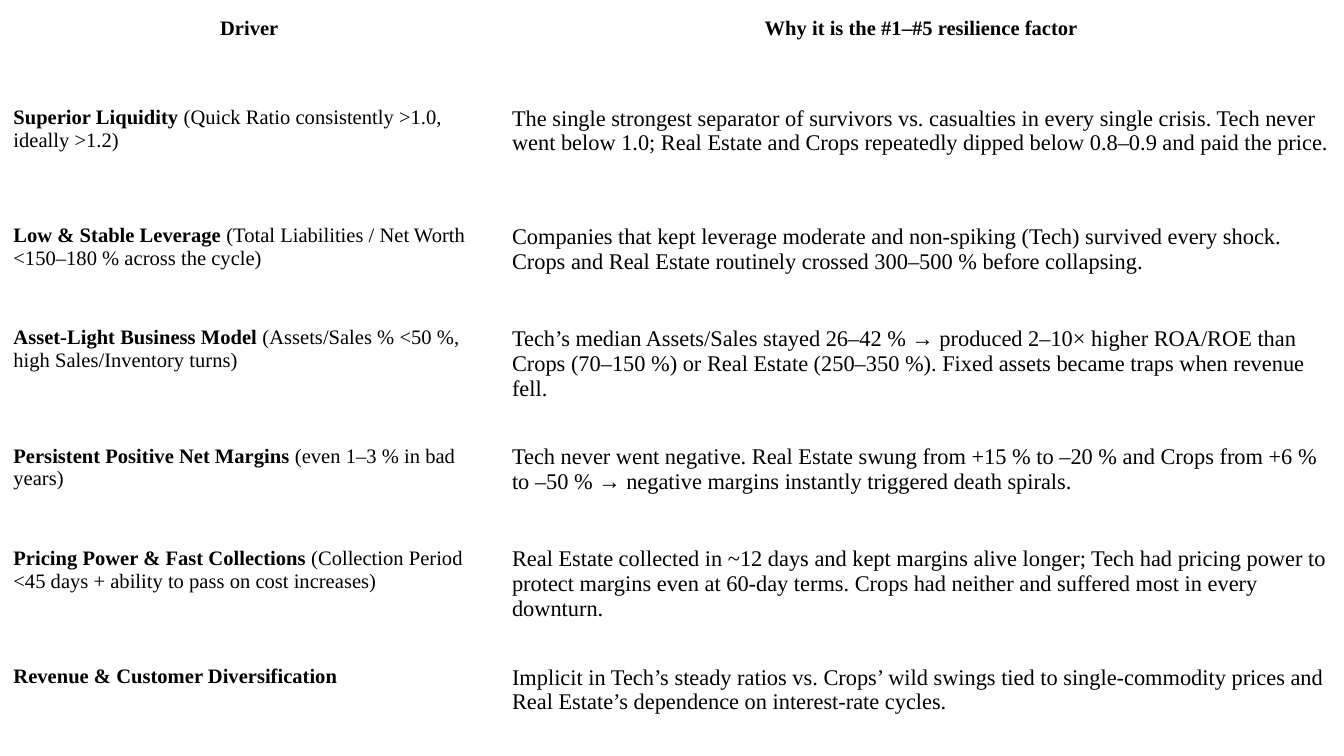
from pptx import Presentation
from pptx.dml.color import RGBColor
from pptx.enum.text import PP_ALIGN
from pptx.util import Inches, Pt

COLORS = {"background": "FFFFFF", "text": "000000"}
FONT = "Times New Roman"
DRIVER_SIZE, REASON_SIZE = 11, 12
SLIDE_WIDTH = 10
COL_WIDTHS = [3.71, 6.29]
ROW_HEIGHTS = [0.69] + [0.88, 0.76] * 3

HEADERS = ["Driver", "Why it is the #1–#5 resilience factor"]

# Driver, its qualifier, and the reason it matters
DRIVERS = [
    ("Superior Liquidity", " (Quick Ratio consistently >1.0, ideally >1.2)",
     "The single strongest separator of survivors vs. casualties in every single crisis. "
     "Tech never went below 1.0; Real Estate and Crops repeatedly dipped below 0.8–0.9 "
     "and paid the price."),
    ("Low & Stable Leverage", " (Total Liabilities / Net Worth <150–180 % across the cycle)",
     "Companies that kept leverage moderate and non-spiking (Tech) survived every shock. "
     "Crops and Real Estate routinely crossed 300–500 % before collapsing."),
    ("Asset-Light Business Model", " (Assets/Sales % <50 %, high Sales/Inventory turns)",
     "Tech’s median Assets/Sales stayed 26–42 % → produced 2–10× higher ROA/ROE than "
     "Crops (70–150 %) or Real Estate (250–350 %). Fixed assets became traps when "
     "revenue fell."),
    ("Persistent Positive Net Margins", " (even 1–3 % in bad years)",
     "Tech never went negative. Real Estate swung from +15 % to –20 % and Crops from "
     "+6 % to –50 % → negative margins instantly triggered death spirals."),
    ("Pricing Power & Fast Collections",
     " (Collection Period <45 days + ability to pass on cost increases)",
     "Real Estate collected in ~12 days and kept margins alive longer; Tech had pricing "
     "power to protect margins even at 60-day terms. Crops had neither and suffered most "
     "in every downturn."),
    ("Revenue & Customer Diversification", "",
     "Implicit in Tech’s steady ratios vs. Crops’ wild swings tied to single-commodity "
     "prices and Real Estate’s dependence on interest-rate cycles."),
]


class SlideBuilder:
    def __init__(self, slide):
        self.slide = slide
        fill = slide.background.fill
        fill.solid()
        fill.fore_color.rgb = RGBColor.from_string(COLORS["background"])

    def add_table(self, col_widths, row_heights):
        """Add a plain table at the top left corner of the slide."""
        frame = self.slide.shapes.add_table(
            len(row_heights), len(col_widths), 0, 0,
            Inches(sum(col_widths)), Inches(sum(row_heights)))
        table = frame.table
        table.first_row = table.horz_banding = False
        for col, width in zip(table.columns, col_widths):
            col.width = Inches(width)
        for row, height in zip(table.rows, row_heights):
            row.height = Inches(height)
        return table

    def fill_cell(self, cell, runs, size, header=False):
        """Write (text, bold) runs into a cell."""
        cell.fill.background()
        cell.margin_left = cell.margin_right = Inches(0.1)
        cell.margin_top = cell.margin_bottom = Inches(0.1)
        p = cell.text_frame.paragraphs[0]
        if header:
            p.alignment = PP_ALIGN.CENTER
            p.line_spacing = 1.15
        for text, bold in runs:
            r = p.add_run()
            r.text = text
            r.font.name = FONT
            r.font.size = Pt(size)
            r.font.bold = bold
            r.font.color.rgb = RGBColor.from_string(COLORS["text"])


def main():
    prs = Presentation()
    prs.slide_width = Inches(SLIDE_WIDTH)
    prs.slide_height = Inches(SLIDE_WIDTH * 9 / 16)
    builder = SlideBuilder(prs.slides.add_slide(prs.slide_layouts[6]))

    table = builder.add_table(COL_WIDTHS, ROW_HEIGHTS)
    for col, header in enumerate(HEADERS):
        builder.fill_cell(table.cell(0, col), [(header, True)], DRIVER_SIZE, header=True)
    for row, (driver, qualifier, reason) in enumerate(DRIVERS, start=1):
        runs = [(driver, True)]
        if qualifier:
            runs.append((qualifier, False))
        builder.fill_cell(table.cell(row, 0), runs, DRIVER_SIZE)
        builder.fill_cell(table.cell(row, 1), [(reason, False)], REASON_SIZE)

    prs.save("out.pptx")


if __name__ == "__main__":
    main()
